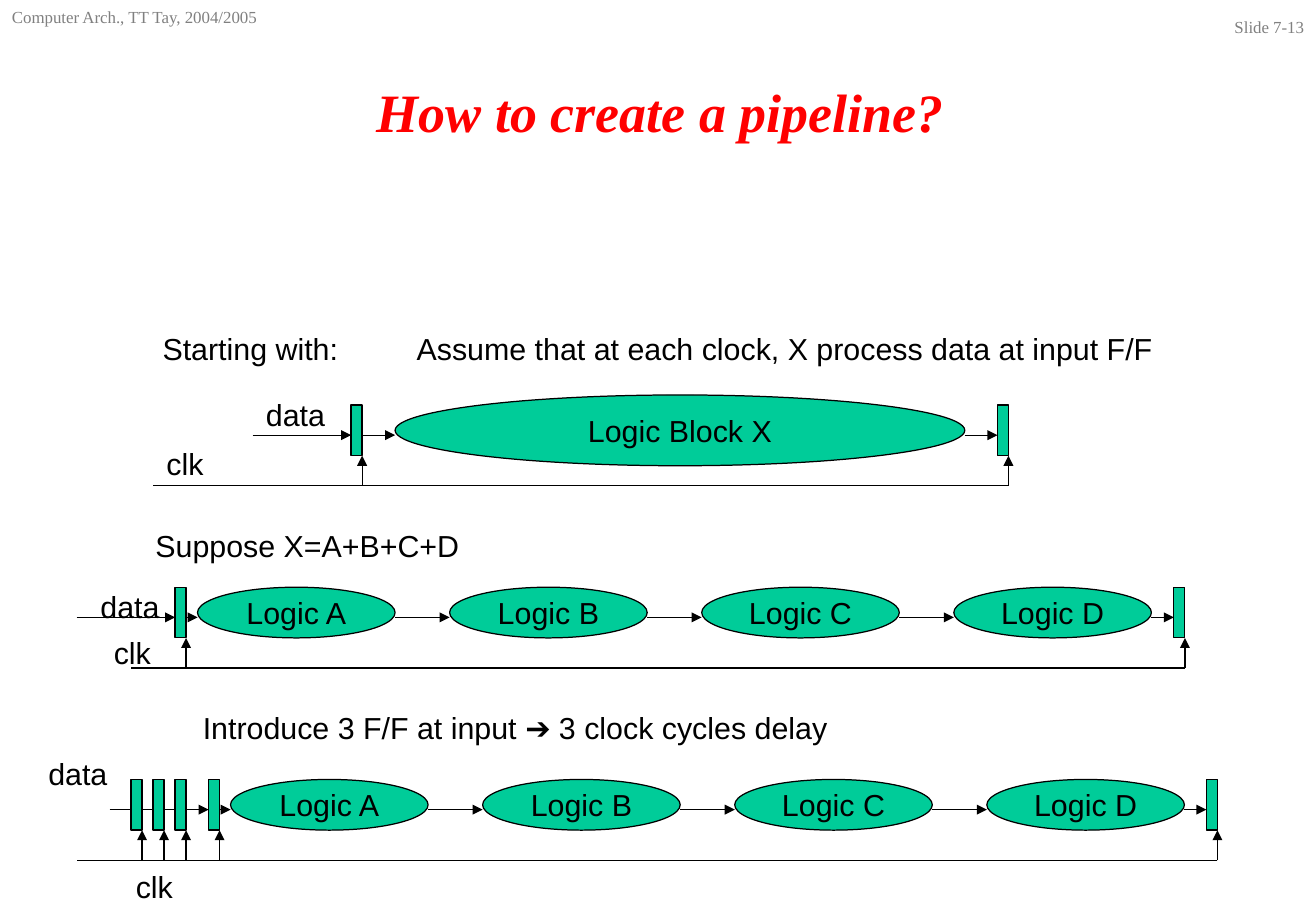
from dataclasses import dataclass

from pptx import Presentation
from pptx.dml.color import RGBColor
from pptx.enum.shapes import MSO_CONNECTOR as Connector, MSO_SHAPE as Shape
from pptx.enum.text import MSO_ANCHOR as Anchor, PP_ALIGN as Align
from pptx.oxml.ns import qn
from pptx.util import Cm, Pt
from lxml.etree import SubElement


@dataclass(frozen=True)
class Theme:
    ink: str = "000000"
    title: str = "FF0000"
    muted: str = "808080"
    logic: str = "00CC99"
    body_font: str = "Arial"
    head_font: str = "Times New Roman"
    small: float = 10
    body: float = 18
    heading: float = 32
    line: float = 0.75


def write(frame, text, *, font, size, color, align=Align.LEFT,
          anchor=Anchor.TOP, bold=False, italic=False, wrap=True):
    """Put one formatted line of text in a frame."""
    frame.word_wrap = wrap
    frame.vertical_anchor = anchor
    paragraph = frame.paragraphs[0]
    paragraph.alignment = align
    run = paragraph.add_run()
    run.text = text
    run.font.name = font
    run.font.size = Pt(size)
    run.font.bold = bold
    run.font.italic = italic
    run.font.color.rgb = RGBColor.from_string(color)


class Diagram:
    """Draws pipeline parts on one slide; all lengths are in centimetres."""

    REGISTER_WIDTH, REGISTER_HEIGHT = 0.23, 1.06
    WIRE_DROP, CLOCK_DROP = 0.63, 1.69

    def __init__(self, slide, theme):
        self.shapes = slide.shapes
        self.theme = theme

    def heading(self, text, left, top, width, height, **format):
        box = self.shapes.add_textbox(Cm(left), Cm(top), Cm(width), Cm(height))
        write(box.text_frame, text, font=self.theme.head_font, **format)

    def label(self, text, left, top, width):
        box = self.shapes.add_textbox(Cm(left), Cm(top), Cm(width), Cm(1.02))
        write(box.text_frame, text, font=self.theme.body_font,
              size=self.theme.body, color=self.theme.ink)

    def node(self, kind, left, top, width, height):
        node = self.shapes.add_shape(kind, Cm(left), Cm(top), Cm(width), Cm(height))
        node.shadow.inherit = False
        node.fill.solid()
        node.fill.fore_color.rgb = RGBColor.from_string(self.theme.logic)
        node.line.color.rgb = RGBColor.from_string(self.theme.ink)
        node.line.width = Pt(self.theme.line)
        return node

    def logic(self, name, left, top, width, height):
        block = self.node(Shape.OVAL, left, top, width, height)
        write(block.text_frame, name, font=self.theme.body_font, size=self.theme.body,
              color=self.theme.ink, align=Align.CENTER, anchor=Anchor.MIDDLE, wrap=False)

    def register(self, left, top):
        self.node(Shape.RECTANGLE, left, top, self.REGISTER_WIDTH, self.REGISTER_HEIGHT)

    def wire(self, x1, y1, x2, y2, arrow=True):
        wire = self.shapes.add_connector(Connector.STRAIGHT, Cm(x1), Cm(y1), Cm(x2), Cm(y2))
        wire.line.color.rgb = RGBColor.from_string(self.theme.ink)
        wire.line.width = Pt(self.theme.line)
        properties = wire._element.spPr
        if arrow:
            SubElement(properties.find(qn("a:ln")), qn("a:tailEnd"), type="triangle")
        SubElement(properties, qn("a:effectLst"))

    def pipeline(self, top, names, first, width, height, inputs, output,
                 data_start, clock_start, pitch=5.27):
        """Input registers, a chain of logic blocks and an output register."""
        data_y, clock_y = top + self.WIRE_DROP, top + self.CLOCK_DROP
        lefts = [first + i * pitch for i in range(len(names))]
        registers = [*inputs, output]

        # Data path: each arrow runs from one part's right edge to the next
        starts = [data_start, inputs[-1] + self.REGISTER_WIDTH,
                  *(left + width for left in lefts)]
        for start, end in zip(starts, [inputs[-1], *lefts, output]):
            self.wire(start, data_y, end, data_y)

        # Clock line with a tap to every register
        taps = [left + self.REGISTER_WIDTH for left in registers]
        self.wire(taps[-1], clock_y, clock_start, clock_y, arrow=False)
        for tap in taps:
            self.wire(tap, clock_y, tap, top + self.REGISTER_HEIGHT)

        # Registers and logic
        for left in registers:
            self.register(left, top)
        block_top = top + (self.REGISTER_HEIGHT - height) / 2
        for name, left in zip(names, lefts):
            self.logic(name, left, block_top, width, height)


def main():
    deck = Presentation()
    deck.slide_width, deck.slide_height = Cm(27.51), Cm(19.05)
    theme = Theme()
    diagram = Diagram(deck.slides.add_slide(deck.slide_layouts[6]), theme)

    # Page header and title
    diagram.heading("Slide 7-13", 24.97, 0.22, 2.54, 0.64,
                    size=theme.small, color=theme.muted, align=Align.RIGHT)
    diagram.heading("Computer Arch., TT Tay, 2004/2005", 0, 0.01, 6.14, 0.85,
                    size=theme.small, color=theme.muted)
    diagram.heading("How to create a pipeline?", 2.2, 1.57, 23.22, 1.52,
                    size=theme.heading, color=theme.title, align=Align.CENTER,
                    anchor=Anchor.MIDDLE, bold=True, italic=True)

    # Single block, split blocks, and split blocks with extra input registers
    stages = [f"Logic {letter}" for letter in "ABCD"]
    diagram.pipeline(8.47, ["Logic Block X"], 8.26, 11.91, 1.48, [7.34], 20.85,
                     data_start=5.28, clock_start=3.2)
    diagram.pipeline(12.28, stages, 4.13, 4.13, 1.06, [3.66], 24.54,
                     data_start=1.6, clock_start=2.74)
    diagram.pipeline(16.3, stages, 4.82, 4.13, 1.06, [2.74, 3.2, 3.66, 4.36], 25.22,
                     data_start=2.29, clock_start=1.6)

    # Captions
    for text, left, top, width in [
        ("Starting with:", 3.15, 6.78, 4.6),
        ("Assume that at each clock, X process data at input F/F", 8.46, 6.78, 16.6),
        ("Suppose X=A+B+C+D", 3, 10.9, 7.3),
        ("Introduce 3 F/F at input ➔ 3 clock cycles delay", 3.99, 14.71, 14.2),
    ]:
        diagram.label(text, left, top, width)

    # Signal names
    for name, width, places in [
        ("data", 2, [(5.31, 8.15), (1.85, 12.17), (0.76, 15.67)]),
        ("clk", 1.6, [(3.23, 9.19), (2.13, 13.13), (2.59, 18.03)]),
    ]:
        for left, top in places:
            diagram.label(name, left, top, width)

    deck.save("out.pptx")


if __name__ == "__main__":
    main()
